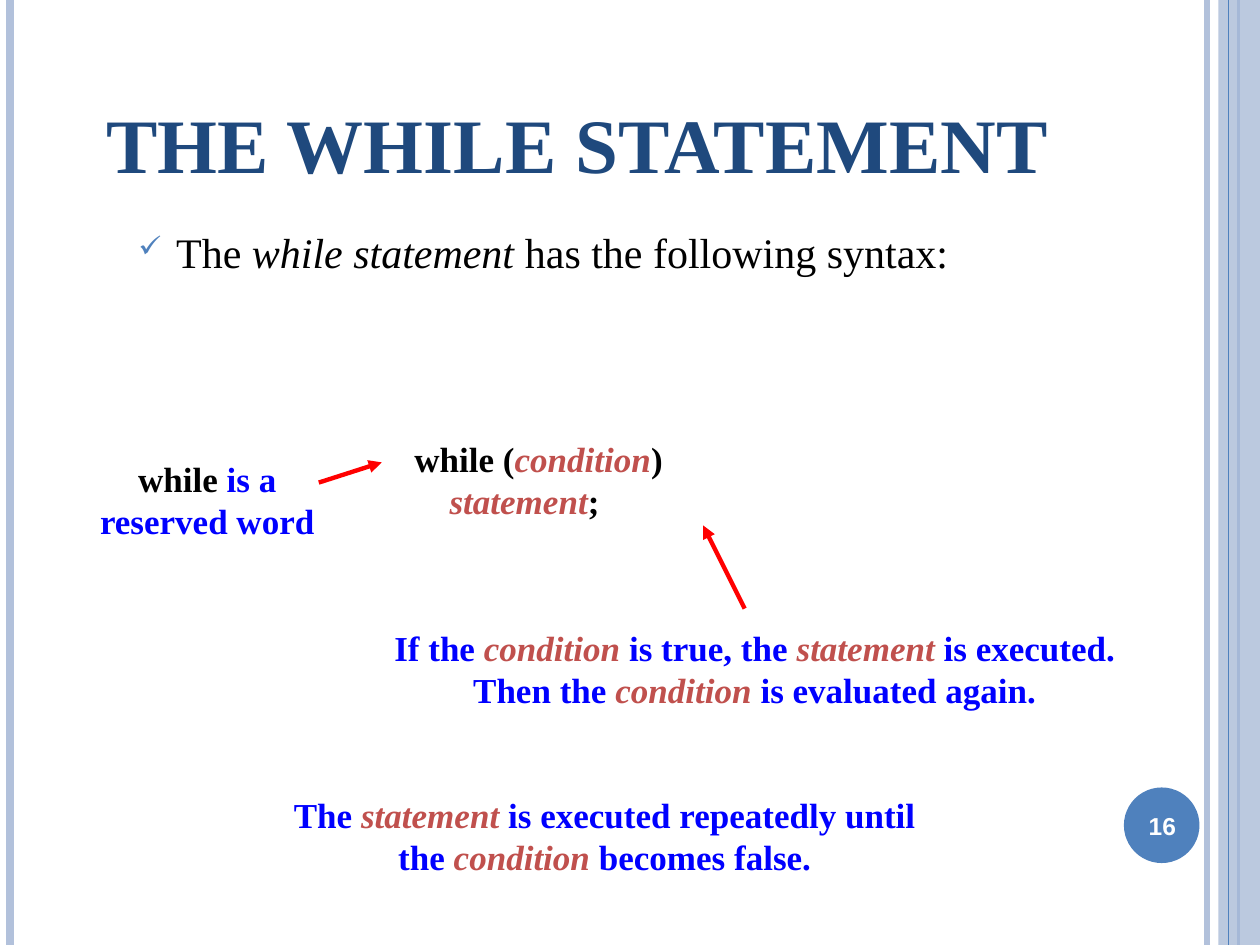
from dataclasses import dataclass

from lxml import etree
from pptx import Presentation
from pptx.dml.color import RGBColor
from pptx.enum.shapes import MSO_CONNECTOR, MSO_SHAPE
from pptx.enum.text import MSO_ANCHOR, MSO_AUTO_SIZE, PP_ALIGN
from pptx.oxml.ns import qn
from pptx.util import Inches, Pt


@dataclass(frozen=True)
class Theme:
    title: str = "1F497D"
    accent: str = "4F81BD"
    pale: str = "B2C1DB"
    ink: str = "000000"
    note: str = "0000FF"
    term: str = "C0504D"
    arrow: str = "FF0000"
    white: str = "FFFFFF"
    serif: str = "Times New Roman"
    sans: str = "Arial"
    title_size: int = 44
    body_size: int = 24
    note_size: int = 20
    number_size: int = 14


T = Theme()


def rgb(color):
    return RGBColor.from_string(color)


def add_run(p, text, size, color, bold=False, italic=False, font=T.serif):
    r = p.add_run()
    r.text = text
    f = r.font
    f.name, f.size, f.bold, f.italic = font, Pt(size), bold, italic
    f.color.rgb = rgb(color)


def add_line(slide, start, end, color, width):
    x1, y1, x2, y2 = (Inches(v) for v in (*start, *end))
    line = slide.shapes.add_connector(MSO_CONNECTOR.STRAIGHT, x1, y1, x2, y2)
    line.line.color.rgb = rgb(color)
    line.line.width = Pt(width)
    etree.SubElement(line._element.spPr, qn("a:effectLst"))
    return line


def add_arrow(slide, start, end):
    ln = add_line(slide, start, end, T.arrow, 2.5).line._get_or_add_ln()
    etree.SubElement(ln, qn("a:tailEnd"), type="triangle")


def add_filled(slide, kind, box, color):
    sp = slide.shapes.add_shape(kind, *(Inches(v) for v in box))
    sp.shadow.inherit = False
    sp.fill.solid()
    sp.fill.fore_color.rgb = rgb(color)
    sp.line.fill.background()
    return sp


def add_text(slide, box, anchor=MSO_ANCHOR.MIDDLE, wrap=True):
    tf = slide.shapes.add_textbox(*(Inches(v) for v in box)).text_frame
    tf.word_wrap = wrap
    tf.vertical_anchor = anchor
    return tf


# Vertical rules and translucent band at the slide edges
def add_frame(slide, height):
    def rule(x, color, width):
        add_line(slide, (x, 0), (x, height), color, width)

    rule(9.58, T.pale, 3)
    rule(0.08, T.pale, 4.5)
    rule(9.83, T.accent, 1.5)
    band = add_filled(slide, MSO_SHAPE.RECTANGLE, (9.67, 0, 0.33, height), T.pale)
    color = band._element.spPr.find(".//" + qn("a:srgbClr"))
    etree.SubElement(color, qn("a:alpha"), val="87000")
    rule(9.75, T.accent, 0.75)


def add_title(slide, box, text):
    title = slide.shapes.title
    title.left, title.top, title.width, title.height = (Inches(v) for v in box)
    tf = title.text_frame
    tf.word_wrap = True
    tf.auto_size = MSO_AUTO_SIZE.NONE
    tf.vertical_anchor = MSO_ANCHOR.BOTTOM
    p = tf.paragraphs[0]
    p.alignment = PP_ALIGN.CENTER
    add_run(p, text, T.title_size, T.title, bold=True)


# Check-marked introduction; each part is (text, italic)
def add_intro(slide, box, parts):
    p = add_text(slide, box, MSO_ANCHOR.TOP).paragraphs[0]
    p.space_before = Pt(6)
    pPr = p._p.get_or_add_pPr()
    pPr.set("marL", str(Inches(0.3)))
    pPr.set("indent", str(-Inches(0.3)))
    bullet_color = etree.SubElement(pPr, qn("a:buClr"))
    etree.SubElement(bullet_color, qn("a:srgbClr"), val=T.accent)
    etree.SubElement(pPr, qn("a:buSzPct"), val="70000")
    etree.SubElement(pPr, qn("a:buChar"), char="✓")
    for text, italic in parts:
        add_run(p, text, T.body_size, T.ink, italic=italic)


# Bold lines of (text, color) parts; terms are set in italics
def add_note(slide, box, lines, align=PP_ALIGN.CENTER):
    tf = add_text(slide, box, wrap=False)
    tf.auto_size = MSO_AUTO_SIZE.SHAPE_TO_FIT_TEXT
    for i, parts in enumerate(lines):
        p = tf.add_paragraph() if i else tf.paragraphs[0]
        p.alignment = align
        for text, color in parts:
            add_run(p, text, T.note_size, color, bold=True, italic=color == T.term)
    return tf


def add_syntax(slide, box):
    tf = add_note(slide, box, [
        [("while (", T.ink), ("condition", T.term), (")", T.ink)],
        [("statement", T.term), (";", T.ink)],
    ], PP_ALIGN.LEFT)
    tf.paragraphs[1]._p.get_or_add_pPr().set("marL", str(Inches(0.28)))


def add_page_number(slide, box, number):
    add_filled(slide, MSO_SHAPE.OVAL, box, T.accent)
    left, top, width, height = box
    label = (left - 0.03, top + 0.02, width + 0.07, height - 0.03)
    p = add_text(slide, label).paragraphs[0]
    p.alignment = PP_ALIGN.CENTER
    add_run(p, number, T.number_size, T.white, bold=True, font=T.sans)


def main():
    prs = Presentation()
    prs.slide_width, prs.slide_height = Inches(10), Inches(7.5)
    slide = prs.slides.add_slide(prs.slide_layouts[5])

    add_frame(slide, 7.5)
    add_title(slide, (0.5, 0.3, 8.17, 1.25), "THE WHILE STATEMENT")
    add_intro(slide, (1, 1.75, 8.5, 0.8), [
        ("The ", False), ("while statement", True),
        (" has the following syntax:", False),
    ])
    add_page_number(slide, (8.92, 6.25, 0.6, 0.6), "16")

    # Syntax and the notes that explain it
    add_syntax(slide, (3.19, 3.42, 2.17, 0.77))
    add_note(slide, (0.69, 3.58, 1.91, 0.77), [
        [("while", T.ink), (" is a", T.note)],
        [("reserved word", T.note)],
    ])
    add_arrow(slide, (2.53, 3.83), (3.03, 3.67))
    add_note(slide, (3.03, 4.92, 5.92, 0.77), [
        [("If the ", T.note), ("condition", T.term), (" is true, the ", T.note),
         ("statement", T.term), (" is executed.", T.note)],
        [("Then the ", T.note), ("condition", T.term),
         (" is evaluated again.", T.note)],
    ])
    add_arrow(slide, (5.91, 4.83), (5.58, 4.17))
    add_note(slide, (2.23, 6.25, 5.14, 0.77), [
        [("The ", T.note), ("statement", T.term),
         (" is executed repeatedly until", T.note)],
        [("the ", T.note), ("condition", T.term), (" becomes false.", T.note)],
    ])
    prs.save("out.pptx")


if __name__ == "__main__":
    main()
